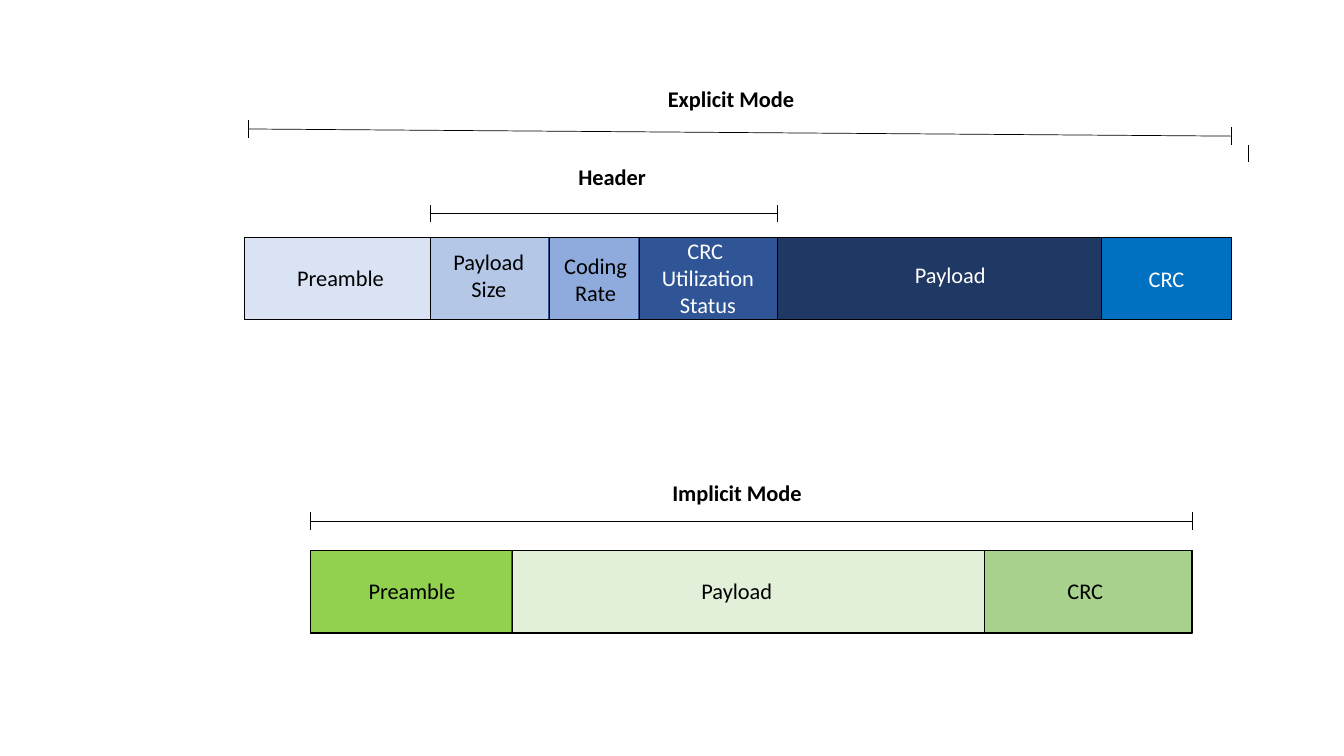
from collections import namedtuple
from dataclasses import dataclass
from lxml import etree
from pptx import Presentation
from pptx.dml.color import RGBColor
from pptx.enum.shapes import MSO_CONNECTOR, MSO_SHAPE
from pptx.enum.text import MSO_AUTO_SIZE, PP_ALIGN
from pptx.oxml.ns import qn
from pptx.util import Cm, Pt

RECT = MSO_SHAPE.RECTANGLE
STRAIGHT = MSO_CONNECTOR.STRAIGHT
GROW = MSO_AUTO_SIZE.SHAPE_TO_FIT_TEXT
LEFT, CENTER = PP_ALIGN.LEFT, PP_ALIGN.CENTER


@dataclass
class Theme:
    font: str = "Calibri"
    size: int = 16
    black: str = "000000"
    white: str = "FFFFFF"
    edge: str = "325491"
    border: float = 1
    thin: float = 0.5


T = Theme()

# Label x is measured from the field, label y from the bar; lengths in cm
Field = namedtuple("Field", "text width fill color x y label_width lines align",
                   defaults=(2.34, 1, CENTER))
EXPLICIT = [
    Field("Preamble", 4.68, "DAE3F3", T.black, 1.07, 0.55, 2.9, 1, LEFT),
    Field("Payload Size", 2.99, "B4C7E7", T.black, 0.3, 0.14, 2.34, 2),
    Field("Coding\nRate", 2.26, "8FAADC", T.black, 0, 0.24, 2.34, 2),
    Field("CRC \nUtilization Status", 3.48, "2F5597", T.white, 0.18, -0.13, 3.12, 3),
    Field("Payload", 8.18, "203864", T.white, 3.2, 0.47),
    Field("CRC", 3.28, "0070C0", T.white, 0.47, 0.57),
]
IMPLICIT = [
    Field("Preamble", 5.08, "92D050", T.black, 1.22, 0.56, 2.9, 1, LEFT),
    Field("Payload", 11.91, "E2F0D9", T.black, 4.5, 0.56),
    Field("CRC", 5.23, "A9D18E", T.black, 1.37, 0.56),
]


def add_rect(s, x, y, w, h, fill, edge):
    sp = s.shapes.add_shape(RECT, Cm(x), Cm(y), Cm(w), Cm(h))
    sp.shadow.inherit = False
    if fill:
        sp.fill.solid()
        sp.fill.fore_color.rgb = RGBColor.from_string(fill)
    else:
        sp.fill.background()
    sp.line.color.rgb = RGBColor.from_string(edge)
    sp.line.width = Pt(T.border)


def add_line(s, x1, y1, x2, y2):
    ln = s.shapes.add_connector(STRAIGHT, Cm(x1), Cm(y1), Cm(x2), Cm(y2))
    ln.line.color.rgb = RGBColor.from_string(T.black)
    ln.line.width = Pt(T.thin)
    etree.SubElement(ln._element.spPr, qn("a:effectLst"))


def add_tick(s, x, y):
    add_line(s, x, y - 0.22, x, y + 0.22)


def add_label(s, text, x, y, w, lines=1, color=T.black, align=CENTER, bold=False):
    sp = s.shapes.add_textbox(Cm(x), Cm(y), Cm(w), Cm(0.26 + 0.68 * lines))
    tf = sp.text_frame
    tf.word_wrap = True
    tf.auto_size = GROW
    for i, line in enumerate(text.split("\n")):
        p = tf.add_paragraph() if i else tf.paragraphs[0]
        p.alignment = align
        r = p.add_run()
        r.text = line
        r.font.name = T.font
        r.font.size = Pt(T.size)
        r.font.bold = bold
        r.font.color.rgb = RGBColor.from_string(color)


def add_frame(s, x, y, h, fields):
    """Draw a row of fields, its outline, dividers and labels."""
    starts = [x + sum(f.width for f in fields[:i]) for i in range(len(fields))]
    for left, f in zip(starts, fields):
        add_rect(s, left, y, f.width, h, f.fill, T.edge)
    add_rect(s, x, y, sum(f.width for f in fields), h, None, T.black)
    for left in starts[1:]:
        add_line(s, left, y + h, left, y)
    for left, f in zip(starts, fields):
        add_label(s, f.text, left + f.x, y + f.y, f.label_width,
                  f.lines, f.color, f.align)


def add_span(s, title, x1, y1, x2, y2, title_x, title_y):
    """Draw a measuring line with end ticks and a bold title."""
    add_line(s, x1, y1, x2, y2)
    add_tick(s, x1, y1)
    add_tick(s, x2, y2)
    add_label(s, title, title_x, title_y, 4.29, bold=True)


prs = Presentation()
prs.slide_width, prs.slide_height = Cm(33.87), Cm(19.05)
s = prs.slides.add_slide(prs.slide_layouts[6])

# Explicit mode
add_frame(s, 6.17, 5.98, 2.08, EXPLICIT)
add_span(s, "Header", 10.85, 5.38, 19.58, 5.38, 13.28, 3.99)
add_span(s, "Explicit Mode", 6.27, 3.25, 31.04, 3.43, 16.28, 2.01)
add_tick(s, 31.47, 3.87)

# Implicit mode
add_frame(s, 7.82, 13.87, 2.08, IMPLICIT)
add_span(s, "Implicit Mode", 7.82, 13.13, 30.05, 13.13, 16.43, 11.94)

prs.save("out.pptx")
